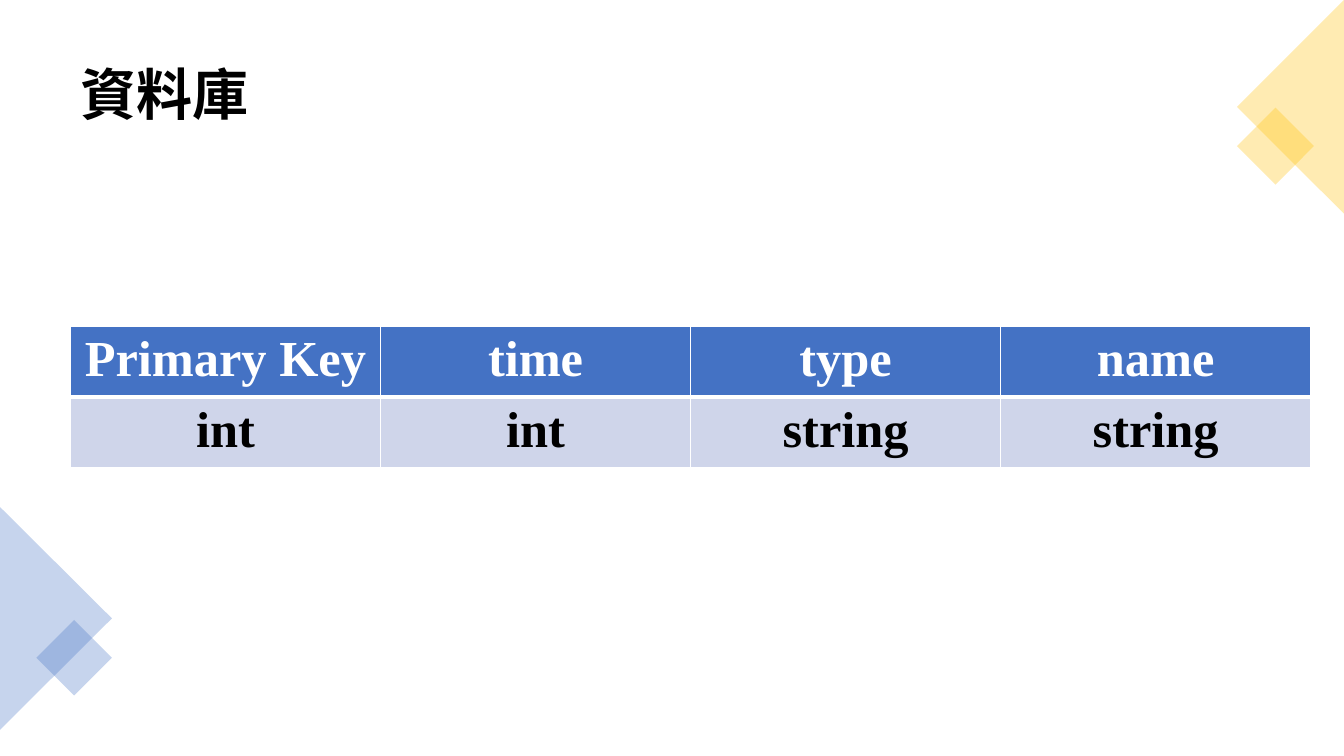
from lxml import etree
from pptx import Presentation
from pptx import util as u
from pptx.dml import color
from pptx.enum import shapes, text
from pptx.oxml import ns

SCALE = 9144
FACE = "Times New Roman"
BLUE, GOLD, PALE = "4472C4", "FFC000", "CFD5EA"
WHITE, BLACK = "FFFFFF", "000000"


def rgb(code):
    return color.RGBColor.from_string(code)


def px(*sizes):
    return [u.Emu(size * SCALE) for size in sizes]


class Deck:
    """Holds the text style and the slide being drawn."""

    def __init__(self, slide):
        self.slide = slide
        self.style = {"name": FACE, "bold": True}

    def label(self, para, words, size, tint):
        run = para.add_run()
        run.text = words
        for key, value in {**self.style, "size": u.Pt(size)}.items():
            setattr(run.font, key, value)
        run.font.color.rgb = rgb(tint)

    def title(self, box, words, size):
        frame = self.slide.shapes.add_textbox(*px(*box)).text_frame
        frame.word_wrap = True
        frame.vertical_anchor = text.MSO_ANCHOR.MIDDLE
        para = frame.paragraphs[0]
        para.line_spacing = 0.9
        self.label(para, words, size, BLACK)

    def shape(self, kind, box, turn, tint, alpha=30):
        shape = self.slide.shapes.add_shape(kind, *px(*box))
        shape.rotation = turn
        shape.shadow.inherit = False
        shape.line.fill.background()
        shape.fill.solid()
        shape.fill.fore_color.rgb = rgb(tint)
        hue = shape._element.spPr.find(ns.qn("a:solidFill"))[0]
        etree.SubElement(hue, ns.qn("a:alpha"), val=str(alpha * 1000))

    def border(self, cell, widths):
        props = cell._tc.get_or_add_tcPr()
        for side, width in widths.items():
            line = etree.SubElement(props, ns.qn("a:ln" + side), w=str(int(u.Pt(width))))
            fill = etree.SubElement(line, ns.qn("a:solidFill"))
            etree.SubElement(fill, ns.qn("a:srgbClr"), val=WHITE)

    def table(self, box, high, rows, looks, size):
        frame = self.slide.shapes.add_table(len(rows), len(rows[0]), *px(*box))
        grid = frame.table
        for r, (words, (fill, ink, edge)) in enumerate(zip(rows, looks)):
            grid.rows[r].height = px(high)[0]
            for c, word in enumerate(words):
                cell = grid.cell(r, c)
                self.border(cell, edge)
                cell.fill.solid()
                cell.fill.fore_color.rgb = rgb(fill)
                para = cell.text_frame.paragraphs[0]
                para.alignment = text.PP_ALIGN.CENTER
                self.label(para, word, size, ink)
        frame.height = px(box[3])[0]


def main():
    prs = Presentation()
    prs.slide_width, prs.slide_height = px(1333, 750)
    deck = Deck(prs.slides.add_slide(prs.slide_layouts[6]))
    deck.title((70, 35, 1193, 124), "資料庫", 40)

    rect, tri = shapes.MSO_SHAPE.RECTANGLE, shapes.MSO_SHAPE.ISOSCELES_TRIANGLE
    deck.shape(rect, (1238, 118, 54, 54), 45, GOLD)
    deck.shape(tri, (1174, 53, 212, 106), 270, GOLD)
    deck.shape(tri, (-55, 558, 221, 111), 90, BLUE)
    deck.shape(rect, (47, 626, 53, 53), 45, BLUE)

    rows = [
        ("Primary Key", "time", "type", "name"),
        ("int", "int", "string", "string"),
    ]
    looks = [
        (BLUE, WHITE, {"L": 1, "R": 1, "T": 1, "B": 3}),
        (PALE, BLACK, {"L": 1, "R": 1, "T": 3, "B": 1}),
    ]
    deck.table((70, 324, 1230, 140), 41, rows, looks, 36)
    prs.save("out.pptx")


if __name__ == "__main__":
    main()
